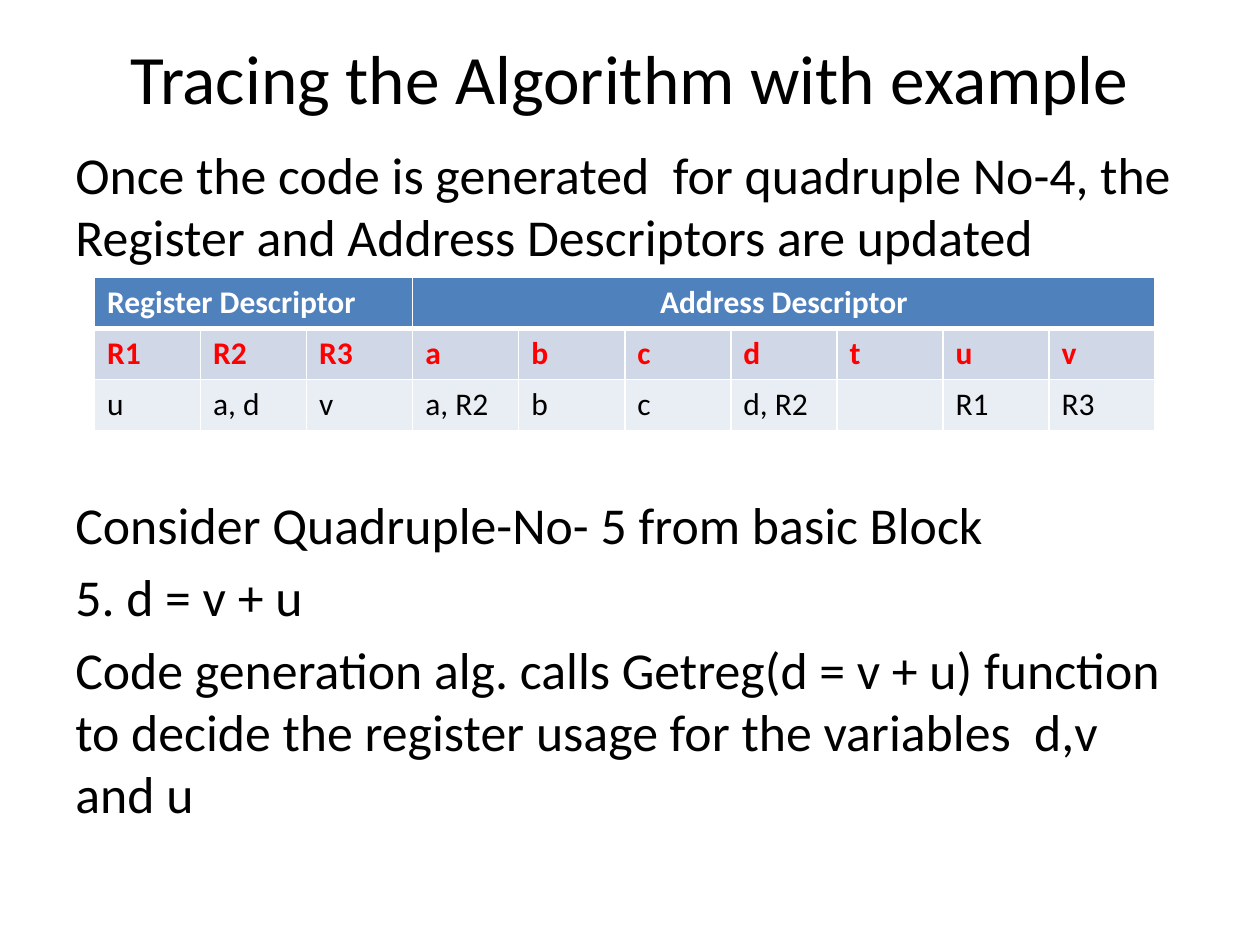
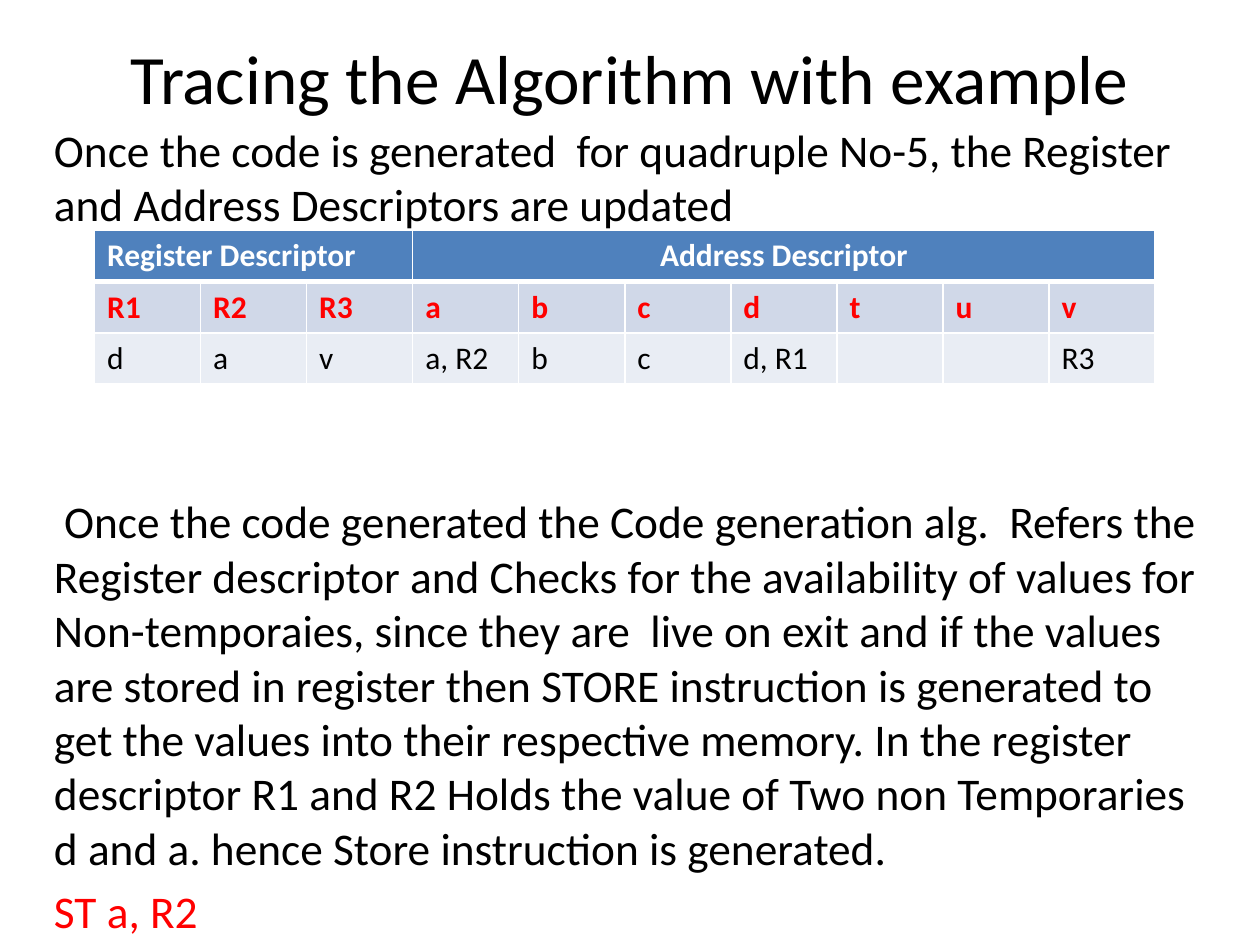
import pptx
import pptx.util
import pptx.dml.color
import pptx.enum.text
import pptx.oxml.ns
import lxml.etree

Inches = pptx.util.Inches
Pt = pptx.util.Pt
RGBColor = pptx.dml.color.RGBColor
ALIGN = pptx.enum.text.PP_ALIGN
ANCHOR = pptx.enum.text.MSO_ANCHOR

BLACK = RGBColor(0x00, 0x00, 0x00)
WHITE = RGBColor(0xFF, 0xFF, 0xFF)
RED = RGBColor(0xFF, 0x00, 0x00)
HEADER_BLUE = RGBColor(0x4F, 0x81, 0xBD)
BAND_DARK = RGBColor(0xD0, 0xD8, 0xE8)
BAND_LIGHT = RGBColor(0xE9, 0xED, 0xF4)

TITLE = "Tracing the Algorithm with example"
GROUPS = [("Register Descriptor", 0, 3, ALIGN.LEFT), ("Address Descriptor", 3, 7, ALIGN.CENTER)]
NAMES = ["R1", "R2", "R3", "a", "b", "c", "d", "t", "u", "v"]


class DescriptorDeck:
    font_name = "Calibri"
    title_format = {"size": Pt(39.6), "bold": False}
    header_format = {"size": Pt(18), "bold": True}
    value_format = {"size": Pt(18), "bold": False}

    def __init__(self):
        self.presentation = pptx.Presentation()
        self.presentation.slide_width = Inches(10)
        self.presentation.slide_height = Inches(7.5)
        self.slide = None

    def add_text(self, paragraph, text, color, values, align=ALIGN.LEFT):
        paragraph.alignment = align
        run = paragraph.add_run()
        run.text = text
        for name, value in {"name": self.font_name, **values}.items():
            setattr(run.font, name, value)
        run.font.color.rgb = color

    def place(self, shape, left, top, width, height):
        box = {"left": left, "top": top, "width": width, "height": height}
        for name, value in box.items():
            setattr(shape, name, Inches(value))

    def add_slide(self, title):
        layout = self.presentation.slide_layouts.get_by_name("Title Only")
        self.slide = self.presentation.slides.add_slide(layout)
        shape = self.slide.shapes.title
        self.place(shape, 0.5, 0.3, 9, 0.62)
        shape.text_frame.vertical_anchor = ANCHOR.MIDDLE
        self.add_text(shape.text_frame.paragraphs[0], title, BLACK, self.title_format, ALIGN.CENTER)

    def add_body(self, box, size, table_gap, lines):
        shape = self.slide.shapes.add_textbox(*map(Inches, box))
        frame = shape.text_frame
        frame.word_wrap = True
        for index, (text, color) in enumerate(lines):
            paragraph = frame.paragraphs[0] if index == 0 else frame.add_paragraph()
            paragraph.space_before = Pt(table_gap if index == 1 else size * 0.2)
            self.add_text(paragraph, text, color, {"size": Pt(size)})

    def set_cell(self, cell, fill, top=1, bottom=1):
        properties = cell._tc.get_or_add_tcPr()
        qualified = pptx.oxml.ns.qn
        for side, width in {"L": 1, "R": 1, "T": top, "B": bottom}.items():
            line = lxml.etree.SubElement(properties, qualified("a:ln" + side), w=str(Pt(width)))
            solid = lxml.etree.SubElement(line, qualified("a:solidFill"))
            lxml.etree.SubElement(solid, qualified("a:srgbClr"), val=str(WHITE))
        cell.fill.solid()
        cell.fill.fore_color.rgb = fill

    def add_descriptor_table(self, top, values):
        frame = self.slide.shapes.add_table(
            3, len(NAMES), Inches(0.75), Inches(top), Inches(8.42), Inches(1.22))
        table = frame.table
        for column in table.columns:
            column.width = Inches(8.42 / len(NAMES))
        for column in range(len(NAMES)):
            self.set_cell(table.cell(0, column), HEADER_BLUE, bottom=3)
            self.set_cell(table.cell(1, column), BAND_DARK, top=3)
            self.set_cell(table.cell(2, column), BAND_LIGHT)
        for text, start, span, align in GROUPS:
            cell = table.cell(0, start)
            cell.merge(table.cell(0, start + span - 1))
            self.add_text(cell.text_frame.paragraphs[0], text, WHITE, self.header_format, align)
        rows = [(1, NAMES, RED, self.header_format), (2, values, BLACK, self.value_format)]
        for row, texts, color, style in rows:
            for column, text in enumerate(texts):
                if text:
                    paragraph = table.cell(row, column).text_frame.paragraphs[0]
                    self.add_text(paragraph, text, color, style)


deck = DescriptorDeck()

deck.add_slide(TITLE)
deck.add_body((0.5, 1.08, 9, 5.62), 29.6, 129, [
    ("Once the code is generated  for quadruple No-4, the Register and Address "
     "Descriptors are updated", BLACK),
    ("Consider Quadruple-No- 5 from basic Block", BLACK),
    ("5. d = v + u", BLACK),
    ("Code generation alg. calls Getreg(d = v + u) function to decide the register "
     "usage for the variables  d,v and u", BLACK),
])
deck.add_descriptor_table(2.2, ["u", "a, d", "v", "a, R2", "b", "c", "d, R2", "", "R1", "R3"])

deck.add_slide(TITLE)
deck.add_body((0.33, 0.92, 9.42, 6.33), 25.9, 150, [
    ("Once the code is generated  for quadruple No-5, the Register and Address "
     "Descriptors are updated", BLACK),
    (" Once the code generated the Code generation alg.  Refers the Register descriptor "
     "and Checks for the availability of values for Non-temporaies, since they are  live "
     "on exit and if the values are stored in register then STORE instruction is generated "
     "to get the values into their respective memory. In the register descriptor R1 and R2 "
     "Holds the value of Two non Temporaries d and a. hence Store instruction is generated.",
     BLACK),
    ("ST a, R2", RED),
])
deck.add_descriptor_table(1.83, ["d", "a", "v", "a, R2", "b", "c", "d, R1", "", "", "R3"])

deck.presentation.save("out.pptx")
